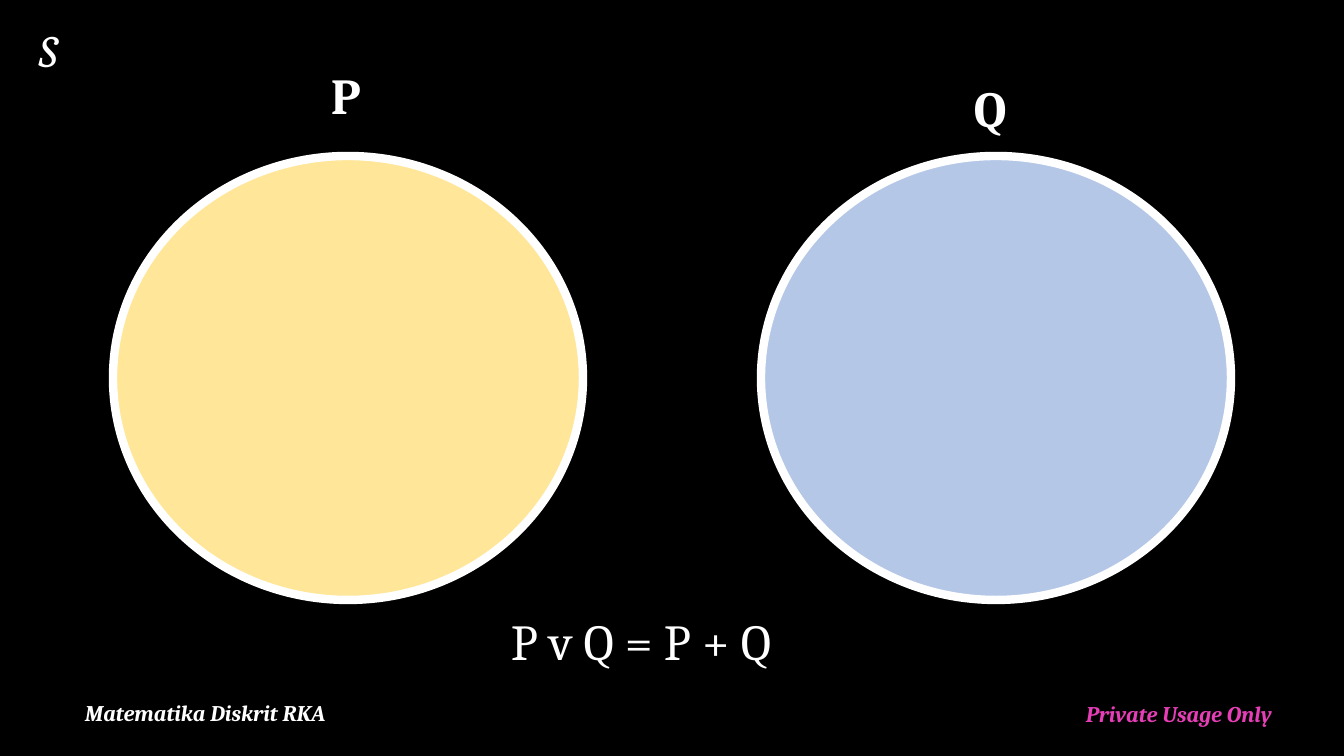
import pptx
import pptx.util
import pptx.dml.color
import pptx.enum.shapes
import pptx.enum.text

RGBColor = pptx.dml.color.RGBColor
BLACK = RGBColor(0x00, 0x00, 0x00)
WHITE = RGBColor(0xFF, 0xFF, 0xFF)
YELLOW = RGBColor(0xFF, 0xE6, 0x99)
BLUE = RGBColor(0xB4, 0xC7, 0xE7)
PINK = RGBColor(0xE6, 0x3E, 0xB6)

# Content: lengths in px
SLIDE_SIZE = (1344, 756)
SET_SIZE = (470, 444)
SET_TOP = 156
SETS = [(113, YELLOW), (761, BLUE)]

# text, (left, top, width, height), wraps, font
LABELS = [
    ("P", (321, 59, 60, 72), False, {"size": 36, "bold": True}),
    ("Q", (964, 72, 65, 72), False, {"size": 36, "bold": True}),
    ("S", (29, 18, 45, 65), False, {"size": 32, "italic": True}),
    ("P v Q = P + Q", (501, 605, 377, 72), False, {"size": 36}),
]
FOOTERS = [
    ("Matematika Diskrit RKA", (75, 697, 1008, 51), True,
     {"size": 16, "bold": True, "italic": True}),
    ("Private Usage Only", (1076, 698, 268, 51), True,
     {"size": 16, "bold": True, "italic": True, "color": PINK}),
]


def px(length):
    return pptx.util.Emu(round(length * 914400 / 100.8))


def add_text(slide, text, box, wraps, style):
    frame = slide.shapes.add_textbox(*map(px, box)).text_frame
    frame.word_wrap = wraps
    if not wraps:
        frame.auto_size = pptx.enum.text.MSO_AUTO_SIZE.SHAPE_TO_FIT_TEXT
    line = frame.paragraphs[0]
    if wraps:
        line.line_spacing = 0.9
    run = line.add_run()
    run.text = text
    style = {"name": "Cambria", "color": WHITE, **style}
    run.font.color.rgb = style.pop("color")
    style["size"] = pptx.util.Pt(style["size"])
    for key, value in style.items():
        setattr(run.font, key, value)


def main():
    deck = pptx.Presentation()
    deck.slide_width, deck.slide_height = map(px, SLIDE_SIZE)
    slide = deck.slides.add_slide(deck.slide_layouts[6])
    slide.background.fill.solid()
    slide.background.fill.fore_color.rgb = BLACK

    # Footers
    for footer in FOOTERS:
        add_text(slide, *footer)

    # Disjoint sets
    for left, color in SETS:
        circle = slide.shapes.add_shape(
            pptx.enum.shapes.MSO_SHAPE.OVAL,
            *map(px, (left, SET_TOP, *SET_SIZE)))
        circle.shadow.inherit = False
        circle.fill.solid()
        circle.fill.fore_color.rgb = color
        circle.line.color.rgb = WHITE
        circle.line.width = pptx.util.Pt(6)

    # Set names, universe and formula
    for label in LABELS:
        add_text(slide, *label)

    deck.save("out.pptx")


if __name__ == "__main__":
    main()
